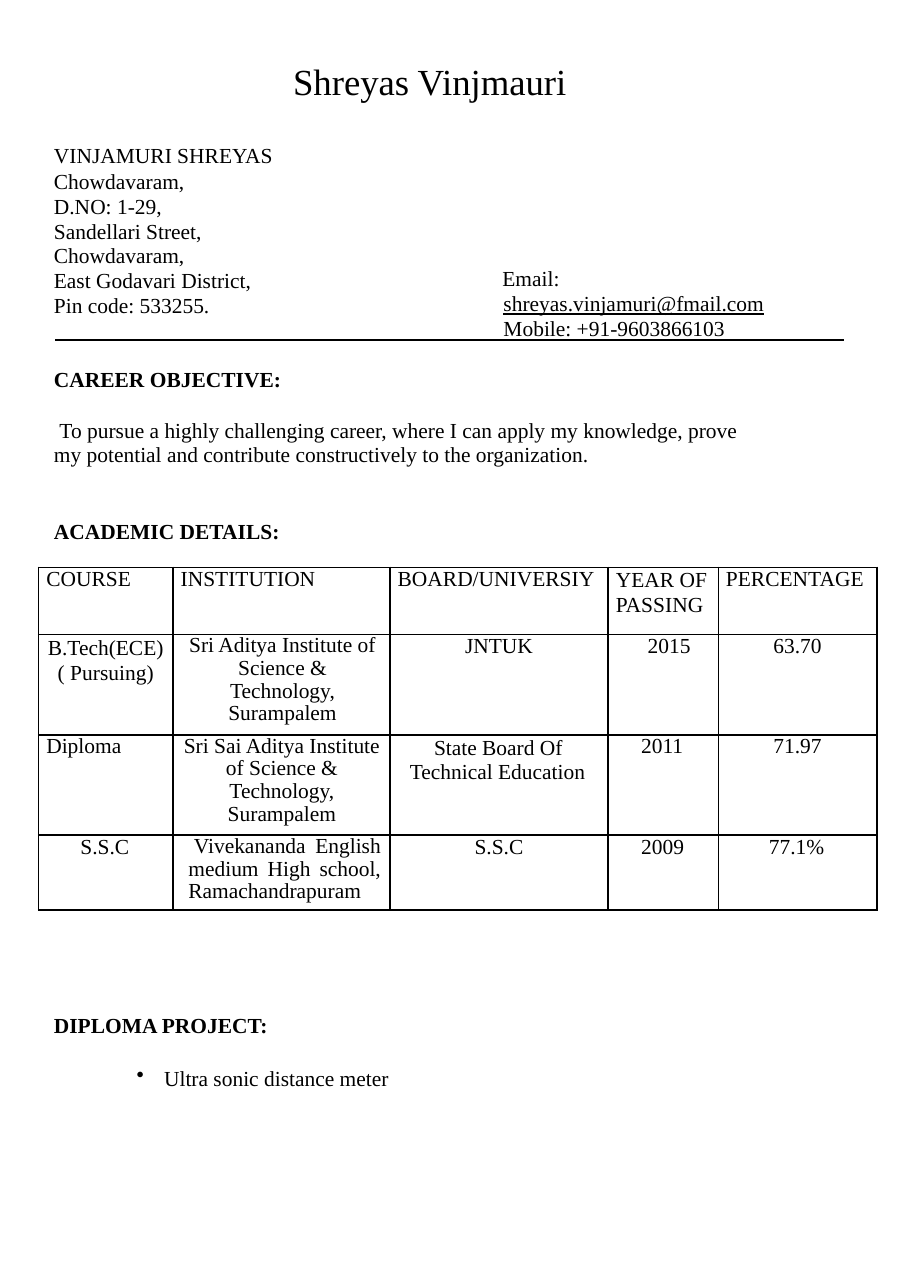
import pptx
import pptx.util
import pptx.dml.color
import pptx.enum.shapes
import pptx.enum.text
import pptx.oxml
import pptx.oxml.ns
from pptx.util import Inches

ALIGN = pptx.enum.text.PP_ALIGN
LEFT, CENTER, JUSTIFY = ALIGN.LEFT, ALIGN.CENTER, ALIGN.JUSTIFY
NS = pptx.oxml.ns.nsdecls("a")


def rgb(value):
    return pptx.dml.color.RGBColor.from_string(value)


def add_run(p, text, size=14, bold=False, underline=False, color="000000"):
    r = p.add_run()
    r.text = text
    r.font.name = "Times New Roman"
    r.font.size = pptx.util.Pt(size)
    r.font.bold = bold
    r.font.underline = underline
    r.font.color.rgb = rgb(color)


def add_text(tf, text, align=LEFT, left=0, right=0, indent=0, line=None,
             before=0, bullet=None, **font):
    p = tf.paragraphs[0] if not tf.paragraphs[0].runs else tf.add_paragraph()
    p.alignment = align
    p.space_before = pptx.util.Pt(before)
    if line:
        p.line_spacing = line if line < 2 else pptx.util.Pt(line)
    pPr = p._p.get_or_add_pPr()
    for name, value in (("marL", left), ("marR", right), ("indent", indent)):
        pPr.set(name, str(int(Inches(value))))
    if bullet:
        pPr.append(pptx.oxml.parse_xml(f'<a:buChar {NS} char="{bullet}"/>'))
    add_run(p, text, **font)
    return p


class Page:
    def __init__(self, prs, color="000000"):
        self.s = prs.slides.add_slide(prs.slide_layouts[5])
        self.color = color

    def frame(self, sp):
        tf = sp.text_frame
        tf.word_wrap = True
        tf.auto_size = pptx.enum.text.MSO_AUTO_SIZE.NONE
        tf.vertical_anchor = pptx.enum.text.MSO_ANCHOR.TOP
        tf.margin_left = tf.margin_right = tf.margin_top = tf.margin_bottom = 0
        return tf

    def title(self, text, x, y, w, h):
        sp = self.s.shapes.title
        sp.left, sp.top, sp.width, sp.height = map(Inches, (x, y, w, h))
        add_text(self.frame(sp), text, left=0.01, size=24)

    def box(self, x, y, w, h):
        return self.frame(self.s.shapes.add_textbox(*map(Inches, (x, y, w, h))))

    def rule(self, x1, x2, y, width):
        ln = self.s.shapes.add_connector(
            pptx.enum.shapes.MSO_CONNECTOR.STRAIGHT, *map(Inches, (x1, y, x2, y)))
        ln.line.color.rgb = rgb(self.color)
        ln.line.width = pptx.util.Pt(width)
        ln._element.spPr.append(pptx.oxml.parse_xml(f"<a:effectLst {NS}/>"))

    def border(self, cell, width):
        tcPr = cell._tc.get_or_add_tcPr()
        for i, side in enumerate("LRTB"):
            tcPr.insert(i, pptx.oxml.parse_xml(
                f'<a:ln{side} {NS} w="{int(pptx.util.Pt(width))}"><a:solidFill>'
                f'<a:srgbClr val="{self.color}"/></a:solidFill></a:ln{side}>'))

    def table(self, x, y, widths, heights, rows):
        table = self.s.shapes.add_table(
            len(heights), len(widths), Inches(x), Inches(y),
            Inches(sum(widths)), Inches(sum(heights))).table
        table.first_row = table.horz_banding = False
        for col, w in zip(table.columns, widths):
            col.width = Inches(w)
        for row, h, entries in zip(table.rows, heights, rows):
            row.height = Inches(h)
            for cell, (text, style) in zip(row.cells, entries):
                cell.margin_left = cell.margin_right = 0
                cell.margin_top = cell.margin_bottom = 0
                cell.fill.background()
                self.border(cell, 1.06)
                for item in text.split("\n"):
                    add_text(cell.text_frame, item, **style)


prs = pptx.Presentation()
prs.slide_width, prs.slide_height = Inches(8.26), Inches(11.69)
page = Page(prs)
page.title("Shreyas Vinjmauri", 2.65, 0.53, 2.54, 0.36)

LINE = 16.1
body = dict(left=0.01, line=LINE)
heading = dict(left=0.01, bold=True)

tf = page.box(0.48, 1.3, 2.03, 1.56)
add_text(tf, "VINJAMURI SHREYAS", left=0.01, line=16.4)
add_text(tf, "Chowdavaram, D.NO: 1-29,", right=0.5, before=0.8, **body)
add_text(tf, "Sandellari Street, Chowdavaram,", before=0.1, **body)
add_text(tf, "East Godavari District, Pin code: 533255.", **body)

tf = page.box(4.55, 2.42, 2.99, 0.45)
p = add_text(tf, "Email: ", left=0.02, right=0.3, indent=-0.01, line=LINE)
add_run(p, "shreyas.vinjamuri@fmail.com", underline=True)
add_run(p, " Mobile: +91-9603866103")

tf = page.box(0.48, 3.32, 6.53, 1.56)
add_text(tf, "CAREER OBJECTIVE:", **heading)
add_text(tf, "To pursue a highly challenging career, where I can apply my knowledge, "
         "prove my potential and contribute constructively to the organization.",
         right=0.1, indent=0.05, before=17.3, **body)
add_text(tf, "ACADEMIC DETAILS:", before=33.2, **heading)

tf = page.box(0.48, 9.19, 3.06, 0.68)
add_text(tf, "DIPLOMA PROJECT:", **heading)
add_text(tf, "Ultra sonic distance meter", left=1.01, indent=-0.25,
         before=17.2, bullet="\u2022")

page.rule(0.5, 7.66, 3.09, 1.25)

label = dict(left=0.07)
mid = dict(align=CENTER)
year = dict(left=0.3)
page.table(0.35, 5.15, [1.22, 1.97, 1.98, 1, 1.44], [0.61, 0.91, 0.91, 0.68], [
    [("COURSE", label), ("INSTITUTION", label), ("BOARD/UNIVERSIY", label),
     ("YEAR OF PASSING", dict(left=0.07, line=LINE)), ("PERCENTAGE", label)],
    [("B.Tech(ECE)\n( Pursuing)", dict(align=CENTER, line=16.4)),
     ("Sri Aditya Institute of Science & Technology, Surampalem",
      dict(align=CENTER, left=0.13, right=0.11, line=0.96)),
     ("JNTUK", mid), ("2015", dict(left=0.36)), ("63.70", mid)],
    [("Diploma", label),
     ("Sri Sai Aditya Institute of Science & Technology, Surampalem",
      dict(align=CENTER, left=0.08, right=0.07, line=0.96)),
     ("State Board Of Technical Education",
      dict(left=0.18, indent=0.22, line=16.2)),
     ("2011", year), ("71.97", mid)],
    [("S.S.C", dict(left=0.38)),
     ("Vivekananda English medium High school, Ramachandrapuram",
      dict(align=JUSTIFY, left=0.14, right=0.08, indent=0.05, line=0.96)),
     ("S.S.C", mid), ("2009", year), ("77.1%", dict(left=0.46))],
])

prs.save("out.pptx")
